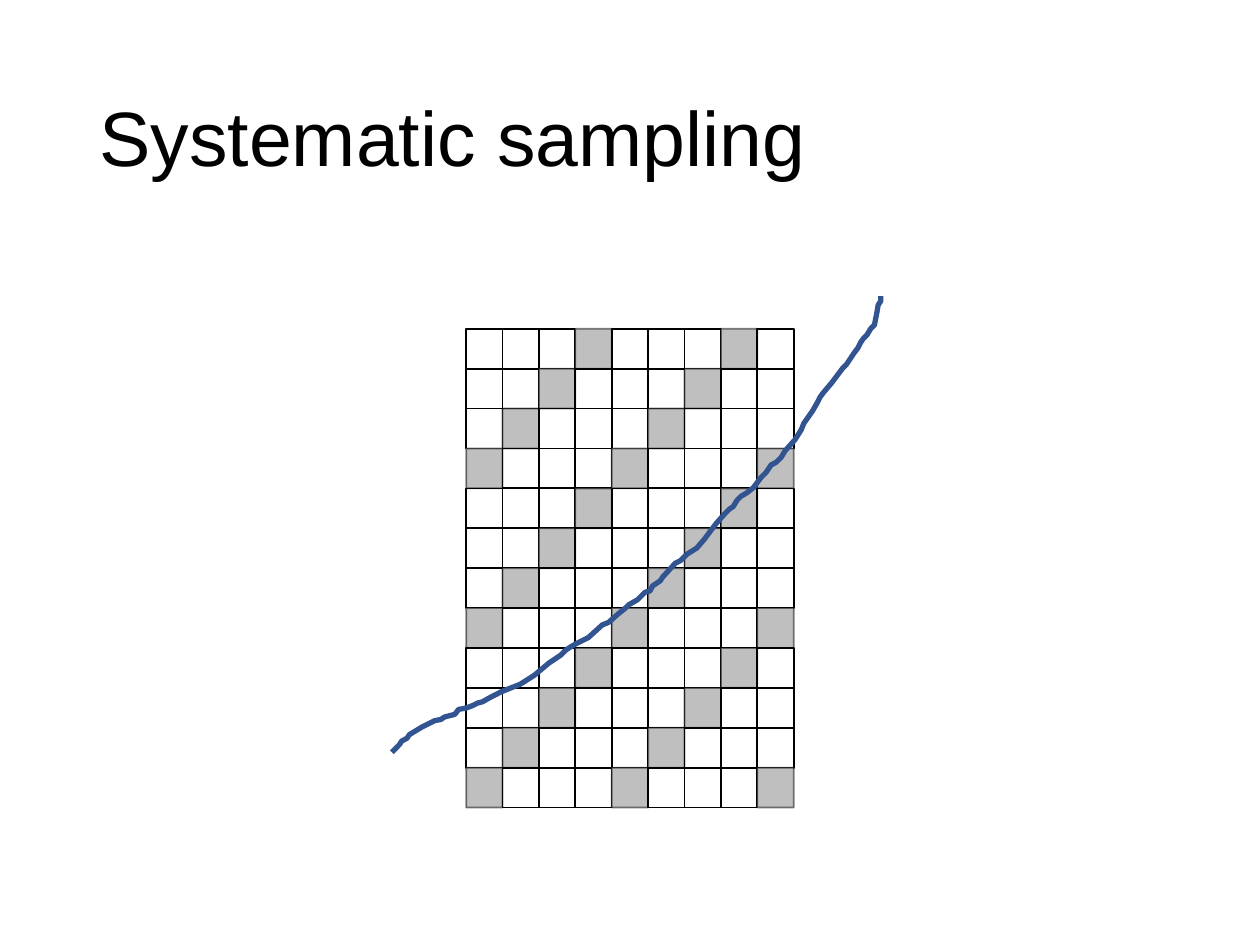
from itertools import product

from lxml.etree import SubElement
from pptx import Presentation
from pptx.dml.color import RGBColor
from pptx.enum.shapes import MSO_SHAPE
from pptx.enum.text import MSO_ANCHOR, PP_ALIGN
from pptx.oxml.ns import qn
from pptx.util import Inches, Pt

BLACK = RGBColor(0x00, 0x00, 0x00)
GRAY = RGBColor(0xBF, 0xBF, 0xBF)
BLUE = RGBColor(0x32, 0x54, 0x91)

ROWS, COLS, STEP = 12, 9, 4

TRANSECT = [
    (0, 362), (6, 356), (8, 353), (12, 351), (14, 348), (24, 342), (30, 339),
    (34, 337), (39, 336), (42, 334), (50, 332), (53, 328), (59, 327), (64, 325),
    (68, 323), (72, 322), (79, 318), (83, 316), (87, 314), (92, 312), (102, 308),
    (113, 301), (125, 291), (134, 285), (138, 281), (141, 279), (146, 276),
    (156, 271), (167, 261), (172, 259), (180, 252), (185, 248), (188, 245),
    (195, 241), (201, 235), (205, 234), (207, 230), (213, 226), (215, 223),
    (225, 212), (229, 210), (234, 205), (242, 200), (248, 193), (254, 185),
    (257, 181), (264, 173), (268, 169), (271, 167), (274, 162), (277, 159),
    (282, 156), (287, 152), (293, 144), (297, 140), (301, 134), (305, 132),
    (309, 128), (312, 123), (320, 114), (325, 106), (327, 101), (334, 91),
    (338, 84), (340, 80), (343, 76), (349, 69), (352, 65), (358, 57), (361, 54),
    (367, 45), (370, 41), (372, 37), (374, 34), (377, 31), (380, 26), (383, 23),
    (385, 13), (386, 7), (388, 4), (388, 0),
]


def add_title(s, text, left, top, width, height):
    sp = s.shapes.title
    sp.left, sp.top, sp.width, sp.height = left, top, width, height
    tf = sp.text_frame
    tf.word_wrap = True
    tf.vertical_anchor = MSO_ANCHOR.MIDDLE
    p = tf.paragraphs[0]
    p.alignment = PP_ALIGN.LEFT
    p.line_spacing = 0.9
    r = p.add_run()
    r.text = text
    r.font.name = "Arial"
    r.font.size = Pt(44)
    r.font.color.rgb = BLACK


def add_sampling_grid(s, left, top, width, height):
    group = s.shapes.add_group_shape()
    cell_w, cell_h = width / COLS, height / ROWS
    for row, col in product(range(ROWS), range(COLS)):
        sp = group.shapes.add_shape(
            MSO_SHAPE.RECTANGLE,
            round(left + col * cell_w), round(top + row * cell_h),
            round(cell_w), round(cell_h))
        sp.shadow.inherit = False
        sp.line.color.rgb = BLACK
        sp.line.width = Pt(1)
        if (row + col) % STEP == STEP - 1:
            sp.fill.solid()
            sp.fill.fore_color.rgb = GRAY
            line_color = sp.line._ln.find(".//" + qn("a:srgbClr"))
            SubElement(line_color, qn("a:alpha"), val="50000")
        else:
            sp.fill.background()


def add_transect(s, left, top):
    builder = s.shapes.build_freeform(*TRANSECT[0], scale=Inches(0.01))
    builder.add_line_segments(TRANSECT[1:], close=False)
    sp = builder.convert_to_shape(left, top)
    sp.shadow.inherit = False
    sp.fill.background()
    sp.line.color.rgb = BLUE
    sp.line.width = Pt(3)


def main():
    prs = Presentation()
    prs.slide_width, prs.slide_height = Inches(10), Inches(7.5)
    s = prs.slides.add_slide(prs.slide_layouts[5])
    add_title(s, "Systematic sampling",
              Inches(0.69), Inches(0.4), Inches(8.62), Inches(1.45))
    add_sampling_grid(s, Inches(3.7), Inches(2.61), Inches(2.6), Inches(3.8))
    add_transect(s, Inches(3.11), Inches(2.35))
    prs.save("out.pptx")


if __name__ == "__main__":
    main()
